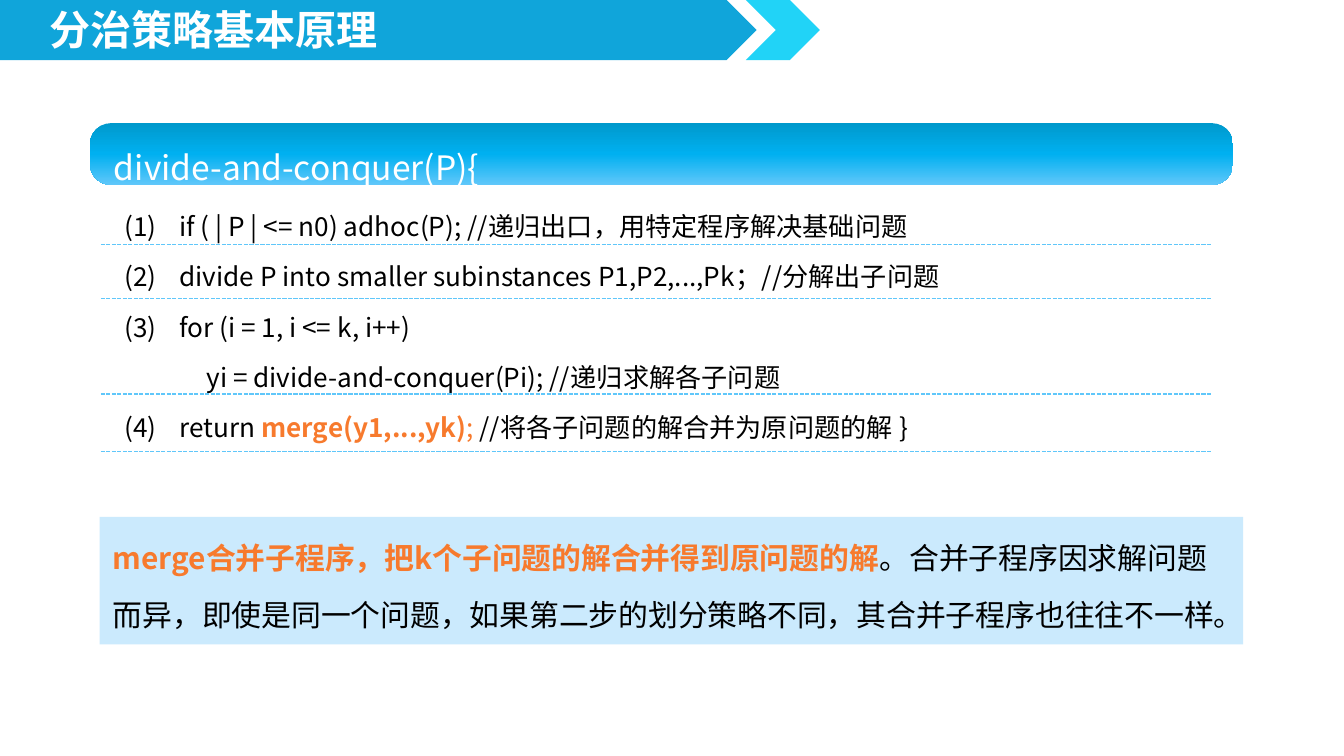
from copy import deepcopy

from lxml.etree import SubElement
from pptx import Presentation
from pptx.dml.color import RGBColor
from pptx.enum.dml import MSO_LINE
from pptx.enum.shapes import MSO_CONNECTOR, MSO_SHAPE
from pptx.enum.text import MSO_ANCHOR, MSO_AUTO_SIZE, PP_ALIGN
from pptx.oxml.ns import qn
from pptx.util import Pt

FONT = "Noto Sans CJK SC"
COLORS = {
    "banner": "10A5DA", "chevron": "21D3F7", "rule": "60C7FA",
    "note": "CBEAFD", "accent": "F77A2D", "white": "FFFFFF", "black": "000000",
}
HEADER_GRADIENT = [(0, "0099CC"), (0.5, "00B0F0"), (1, "60C7FA")]


def add_block(kind, left, top, width, height, color):
    """Add a borderless preset shape, filled unless color is None."""
    sp = s.shapes.add_shape(kind, Pt(left), Pt(top), Pt(width), Pt(height))
    sp.shadow.inherit = False
    sp.line.fill.background()
    if color:
        sp.fill.solid()
        sp.fill.fore_color.rgb = RGBColor.from_string(COLORS[color])
    return sp


def write(p, size, spacing, *parts):
    """Fill a paragraph with (text, color, bold) runs."""
    p.alignment = PP_ALIGN.LEFT
    p.line_spacing = spacing
    p.space_before = Pt(0)
    for text, color, bold in parts:
        r = p.add_run()
        r.text = text
        r.font.size = Pt(size)
        r.font.bold = bold
        r.font.name = FONT
        r.font.color.rgb = RGBColor.from_string(COLORS[color])
        SubElement(r.font._element, qn("a:ea"), typeface=FONT)


prs = Presentation()
prs.slide_width, prs.slide_height = Pt(720), Pt(405)
s = prs.slides.add_slide(prs.slide_layouts[1])
title, body = s.placeholders

# Title banner
add_block(MSO_SHAPE.PENTAGON, 0, 0, 405.4, 32.2, "banner")
add_block(MSO_SHAPE.CHEVRON, 399.6, 0, 39.6, 32.2, "chevron")

# Header bar of the listing
bar = add_block(MSO_SHAPE.ROUNDED_RECTANGLE, 48.2, 66, 612.3, 33.1, None)
bar.adjustments[0] = 0.34
bar.fill.gradient()
bar.fill.gradient_angle = 270
stop_list = bar._element.spPr.find(qn("a:gradFill")).find(qn("a:gsLst"))
stop_list.insert(1, deepcopy(stop_list[0]))
for stop, (position, color) in zip(bar.fill.gradient_stops, HEADER_GRADIENT):
    stop.position = position
    stop.color.rgb = RGBColor.from_string(color)

add_block(MSO_SHAPE.RECTANGLE, 53.4, 277, 612.6, 68.2, "note")

# Text frames, with the placeholders brought in front of the shapes
header = s.shapes.add_textbox(0, 0, 0, 0)
note = s.shapes.add_textbox(0, 0, 0, 0)
for sp, left, top, width, height in [
    (title, 19.4, 4, 192, 28.8),
    (header, 54, 57.8, 612, 51.1),
    (body, 59.4, 99.2, 617.8, 143.3),
    (note, 53.4, 273.8, 612.6, 65.5),
]:
    s.shapes._spTree.append(sp._element)
    sp.left, sp.top, sp.width, sp.height = Pt(left), Pt(top), Pt(width), Pt(height)
    tf = sp.text_frame
    tf.word_wrap = True
    tf.auto_size = MSO_AUTO_SIZE.NONE
    tf.vertical_anchor = MSO_ANCHOR.TOP

write(title.text_frame.paragraphs[0], 22, 0.8, ("分治策略基本原理", "white", True))
write(header.text_frame.paragraphs[0], 18, 1.8, ("divide-and-conquer(P){", "white", False))
write(note.text_frame.paragraphs[0], 16, 1.6,
      ("merge合并子程序，把k个子问题的解合并得到原问题的解", "accent", True),
      ("。合并子程序因求解问题而异，即使是同一个问题，如果第二步的划分策略不同，"
       "其合并子程序也往往不一样。", "black", False))

# Algorithm steps: left margin, first-line indent, runs
steps = [
    (29.5, -29.5, [("(1)\tif ( | P | <= n0) adhoc(P); //递归出口，用特定程序解决基础问题", "black", False)]),
    (29.5, -29.5, [("(2)\tdivide P into smaller subinstances P1,P2,...,Pk；//分解出子问题", "black", False)]),
    (29.5, -29.5, [("(3)\tfor (i = 1, i <= k, i++)", "black", False)]),
    (44, 0, [("yi = divide-and-conquer(Pi); //递归求解各子问题", "black", False)]),
    (29.5, -29.5, [("(4)\treturn ", "black", False),
                   ("merge(y1,...,yk)", "accent", True),
                   ("; ", "accent", False),
                   ("//将各子问题的解合并为原问题的解 }", "black", False)]),
]
tf = body.text_frame
for i, (margin, indent, parts) in enumerate(steps):
    p = tf.add_paragraph() if i else tf.paragraphs[0]
    pPr = p._p.get_or_add_pPr()
    pPr.set("marL", str(Pt(margin)))
    pPr.set("indent", str(Pt(indent)))
    SubElement(pPr, qn("a:buNone"))
    write(p, 14, 1.6, *parts)

# Dashed rules under the steps
for y in (131, 159.8, 211, 242):
    rule = s.shapes.add_connector(MSO_CONNECTOR.STRAIGHT, Pt(54), Pt(y), Pt(649.2), Pt(y))
    rule.line.color.rgb = RGBColor.from_string(COLORS["rule"])
    rule.line.width = Pt(0.75)
    rule.line.dash_style = MSO_LINE.SQUARE_DOT
    SubElement(rule._element.spPr, qn("a:effectLst"))

prs.save("out.pptx")
